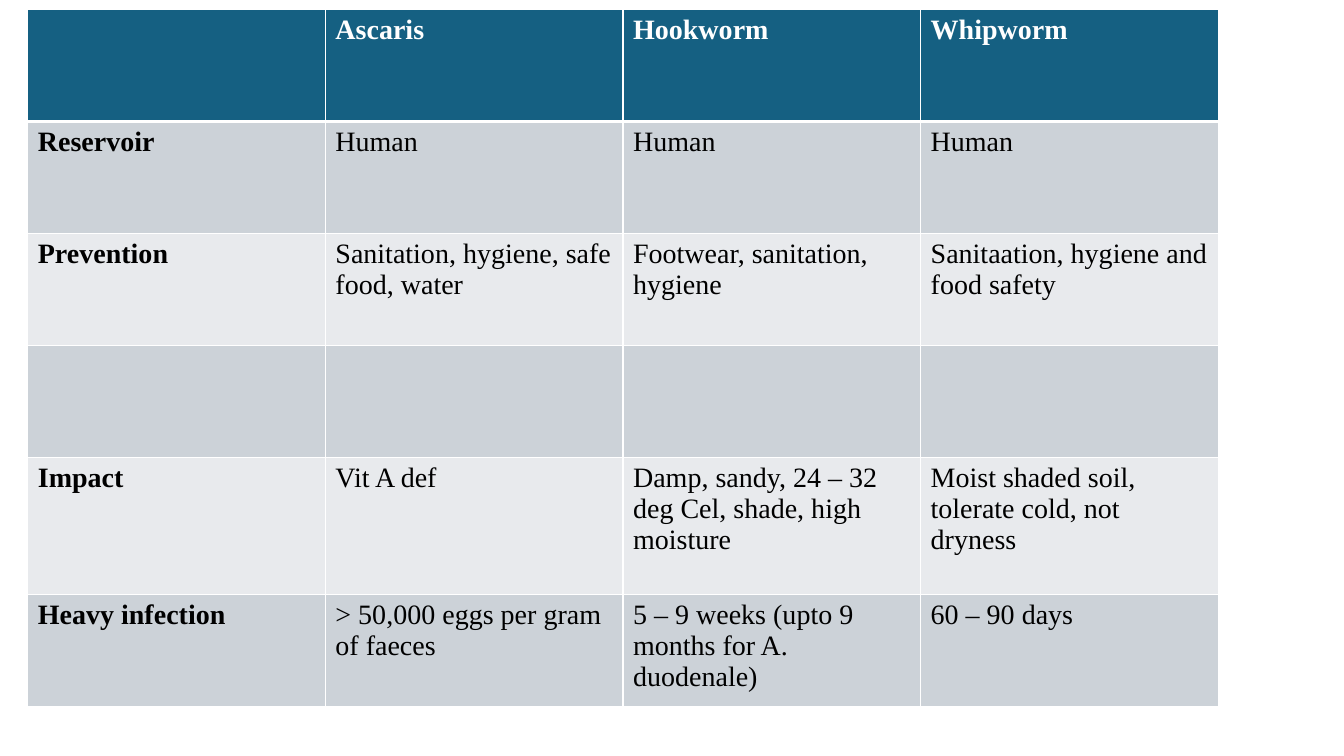
from dataclasses import dataclass

from lxml import etree
from pptx import Presentation
from pptx.dml.color import RGBColor
from pptx.oxml.ns import qn
from pptx.util import Cm, Pt

BLANK_LAYOUT = 6


@dataclass(frozen=True)
class Theme:
    font: str = "Times New Roman"
    size: int = 20
    header_fill: str = "156082"
    band_fills: tuple = ("CCD2D8", "E8EAED")
    header_text: str = "FFFFFF"
    body_text: str = "000000"
    border: str = "FFFFFF"
    thin: int = 1
    thick: int = 3


# Content: header row, then one row per topic
WORM_ROWS = [
    ["", "Ascaris", "Hookworm", "Whipworm"],
    ["Reservoir", "Human", "Human", "Human"],
    ["Prevention", "Sanitation, hygiene, safe food, water",
     "Footwear, sanitation, hygiene", "Sanitaation, hygiene and food safety"],
    ["", "", "", ""],
    ["Impact", "Vit A def", "Damp, sandy, 24 – 32 deg Cel, shade, high moisture",
     "Moist shaded soil, tolerate cold, not dryness"],
    ["Heavy infection", "> 50,000 eggs per gram of faeces",
     "5 – 9 weeks (upto 9 months for A. duodenale)", "60 – 90 days"],
]
COLUMN_WIDTH = 7.5
ROW_HEIGHTS = [2.82, 2.82, 2.82, 2.82, 3.46, 2.82]


def write_text(frame, text, *, font, size, color, bold=False):
    paragraph = frame.paragraphs[0]
    if text:
        paragraph.add_run().text = text
    paragraph.font.size = Pt(size)
    for run in paragraph.runs:
        run.font.name = font
        run.font.size = Pt(size)
        run.font.bold = bold
        run.font.color.rgb = RGBColor.from_string(color)


class SlideBuilder:
    def __init__(self, slide, theme):
        self.slide = slide
        self.theme = theme

    def borders(self, cell, top, bottom):
        properties = cell._tc.get_or_add_tcPr()
        thin = self.theme.thin
        sides = {"lnL": thin, "lnR": thin, "lnT": top, "lnB": bottom}
        for position, (side, width) in enumerate(sides.items()):
            line = etree.Element(qn(f"a:{side}"), w=str(Pt(width)))
            fill = etree.SubElement(line, qn("a:solidFill"))
            etree.SubElement(fill, qn("a:srgbClr"), val=self.theme.border)
            properties.insert(position, line)

    def cell(self, cell, text, row, column):
        theme = self.theme
        is_header = row == 0
        fill = theme.header_fill if is_header else theme.band_fills[(row - 1) % 2]
        cell.fill.solid()
        cell.fill.fore_color.rgb = RGBColor.from_string(fill)
        # A thick rule separates the header from the first topic
        self.borders(cell, top=theme.thick if row == 1 else theme.thin,
                     bottom=theme.thick if is_header else theme.thin)
        write_text(cell.text_frame, text, font=theme.font, size=theme.size,
                   color=theme.header_text if is_header else theme.body_text,
                   bold=is_header or column == 0)

    def table(self, rows, left, top, column_width, row_heights):
        columns = len(rows[0])
        table = self.slide.shapes.add_table(
            len(rows), columns, Cm(left), Cm(top),
            Cm(column_width * columns), Cm(sum(row_heights))).table
        for column in table.columns:
            column.width = Cm(column_width)
        for row, (texts, height) in enumerate(zip(rows, row_heights)):
            table.rows[row].height = Cm(height)
            for column, text in enumerate(texts):
                self.cell(table.cell(row, column), text, row, column)


def main():
    presentation = Presentation()
    presentation.slide_width = Cm(33.87)
    presentation.slide_height = Cm(19.05)
    slide = presentation.slides.add_slide(presentation.slide_layouts[BLANK_LAYOUT])

    # Comparison of the three worms
    builder = SlideBuilder(slide, Theme())
    builder.table(WORM_ROWS, 0.7, 0.24, COLUMN_WIDTH, ROW_HEIGHTS)

    presentation.save("out.pptx")


if __name__ == "__main__":
    main()
